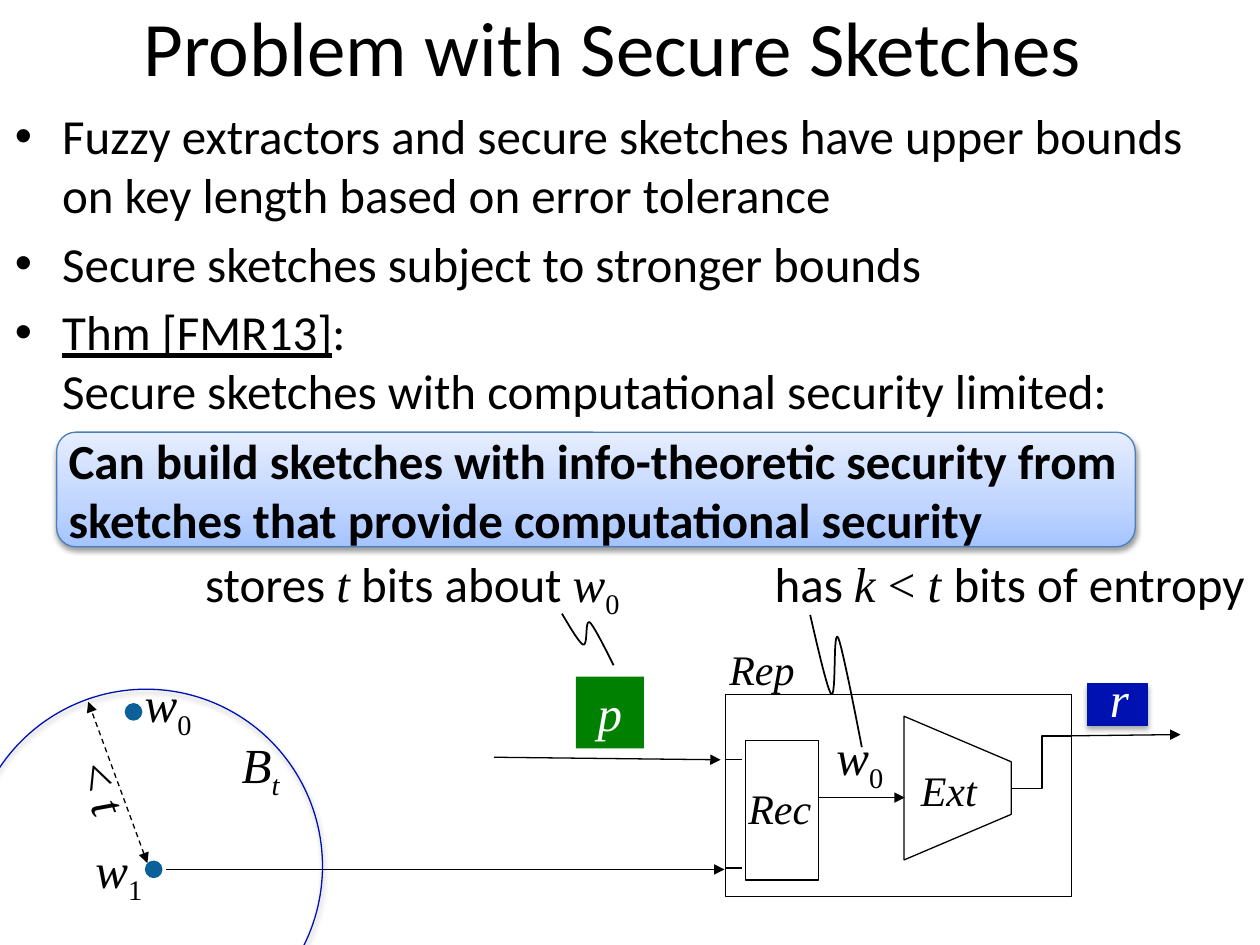
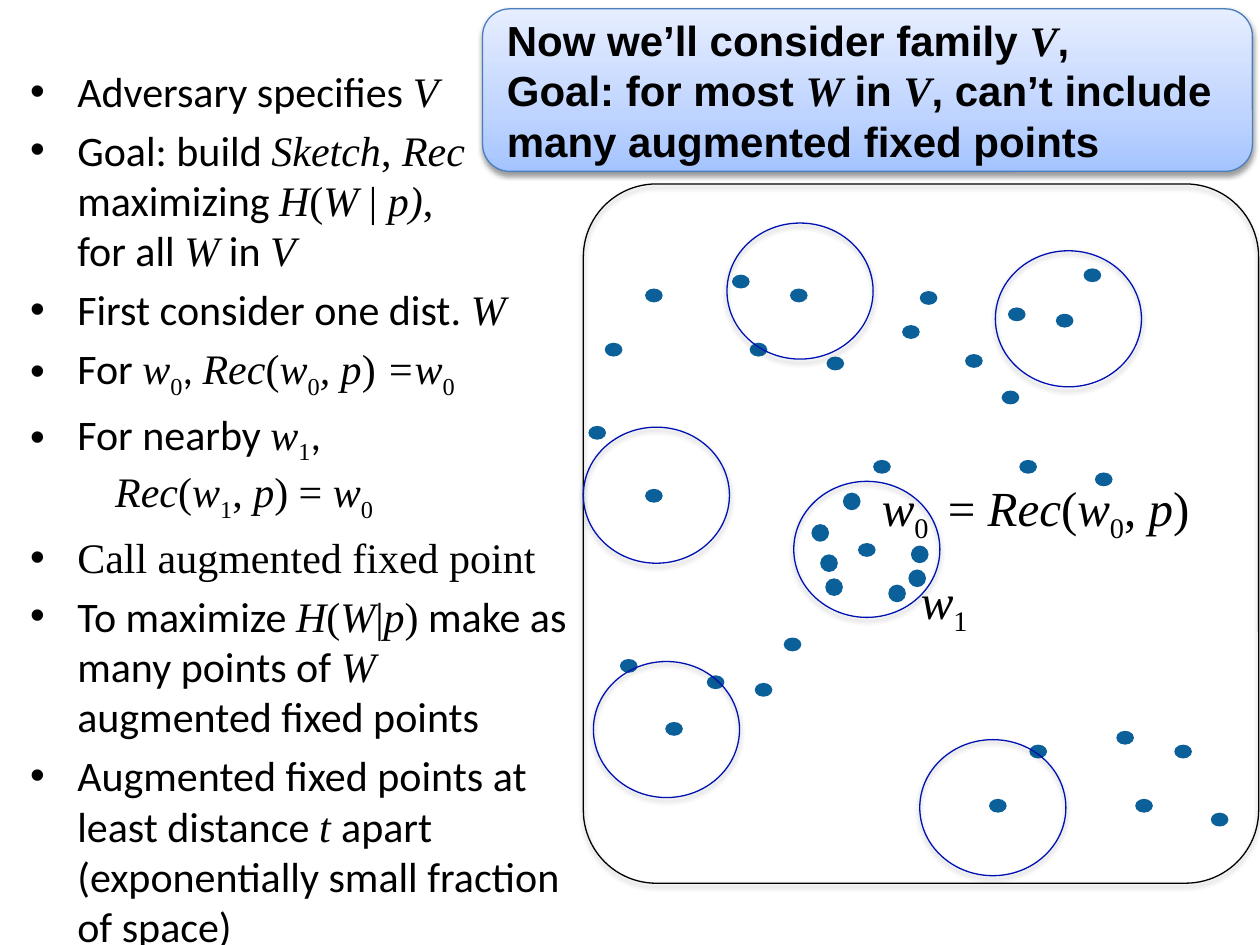
from copy import deepcopy
from dataclasses import dataclass
from typing import NamedTuple

from lxml import etree
from pptx import Presentation
from pptx import util as u
from pptx.dml.color import RGBColor
from pptx.enum import dml, shapes, text
from pptx.oxml.ns import qn

COLUMNS, ROWS = 100, 75
SLIDE_WIDTH, SLIDE_HEIGHT = u.Inches(10), u.Inches(7.5)

BLACK = RGBColor(0x00, 0x00, 0x00)
WHITE = RGBColor(0xFF, 0xFF, 0xFF)
GREEN = RGBColor(0x00, 0x80, 0x00)
BLUE = RGBColor(0x00, 0x11, 0xB2)
POINT_BLUE = RGBColor(0x0B, 0x60, 0x9A)
BANNER_EDGE = RGBColor(0x4B, 0x7E, 0xBC)
BANNER_STOPS = (
    (0, RGBColor(0xA4, 0xC4, 0xFF)),
    (0.35, RGBColor(0xBF, 0xD4, 0xFF)),
    (1, RGBColor(0xE6, 0xEE, 0xFF)),
)

SANS, SERIF, BANNER_SANS = "Calibri", "Times New Roman", "Arial"
TOGGLES = {"$": "math", "*": "italic", "_": "subscript", "~": "underline"}
BULLET_INDENT = 3.75

OVAL = shapes.MSO_SHAPE.OVAL
RECTANGLE = shapes.MSO_SHAPE.RECTANGLE
ROUNDED = shapes.MSO_SHAPE.ROUNDED_RECTANGLE
MIDDLE = text.MSO_ANCHOR.MIDDLE
LEFT, CENTER = text.PP_ALIGN.LEFT, text.PP_ALIGN.CENTER


@dataclass(frozen=True)
class Place:
    left: float
    top: float
    width: float
    height: float
    rotation: float = 0

    def lengths(self) -> tuple:
        return across(self.left), down(self.top), across(self.width), down(self.height)


class Item(NamedTuple):
    text: str
    bullet: bool = True
    extra_indent: float = 0


class Label(NamedTuple):
    place: Place
    text: str
    size: int = 28
    font: str = SERIF
    color: RGBColor = BLACK


class Line(NamedTuple):
    start: tuple
    end: tuple
    tail: bool = False
    head: bool = False
    dashed: bool = False
    kind: int = shapes.MSO_CONNECTOR.STRAIGHT


def across(columns: float) -> int:
    return round(columns * SLIDE_WIDTH / COLUMNS)


def down(rows: float) -> int:
    return round(rows * SLIDE_HEIGHT / ROWS)


def add_child(parent, tag: str, **attributes):
    return etree.SubElement(parent, qn(tag), attributes)


def add_runs(paragraph, marked: str, size: float, font: str, color: RGBColor, bold: bool) -> None:
    active, piece = set(), ""

    def flush() -> None:
        if not piece:
            return
        run = paragraph.add_run()
        run.text = piece
        run.font.size, run.font.bold = u.Pt(size), bold
        run.font.name = SERIF if "math" in active else font
        run.font.color.rgb = color
        run.font.italic = "italic" in active
        run.font.underline = "underline" in active
        if "subscript" in active:
            run.font._element.set("baseline", "-25000")

    for letter in marked:
        if letter in TOGGLES or letter == "\n":
            flush()
            piece = ""
            if letter == "\n":
                paragraph.add_line_break()
            else:
                active ^= {TOGGLES[letter]}
        else:
            piece += letter
    flush()


def write_text(shape, items, *, size=28, font=SANS, color=BLACK, bold=False, align=LEFT,
               anchor=text.MSO_ANCHOR.TOP, wrap=True, margins=(1, 0.5, 1, 0.5)) -> None:
    frame = shape.text_frame
    frame.word_wrap, frame.vertical_anchor = wrap, anchor
    frame.auto_size = text.MSO_AUTO_SIZE.NONE if wrap else text.MSO_AUTO_SIZE.SHAPE_TO_FIT_TEXT
    frame.margin_left, frame.margin_right = across(margins[0]), across(margins[2])
    frame.margin_top, frame.margin_bottom = down(margins[1]), down(margins[3])
    if isinstance(items, str):
        items = [Item(items, bullet=False)]
    for index, item in enumerate(items):
        paragraph = frame.add_paragraph() if index else frame.paragraphs[0]
        paragraph.alignment = align
        properties = paragraph._p.get_or_add_pPr()
        if item.bullet:
            properties.set("marL", str(across(BULLET_INDENT)))
            properties.set("indent", str(-across(BULLET_INDENT)))
            add_child(properties, "a:buFont", typeface=BANNER_SANS)
            add_child(properties, "a:buChar", char="•")
            if index:
                paragraph.space_before = u.Pt(size * 0.2)
        elif item.extra_indent:
            properties.set("marL", str(across(BULLET_INDENT + item.extra_indent)))
        add_runs(paragraph, item.text, size, font, color, bold)


def add_text(slide, place: Place, items, **style):
    box = slide.shapes.add_textbox(*place.lengths())
    box.rotation = place.rotation
    write_text(box, items, **style)
    return box


def add_label(slide, label: Label) -> None:
    add_text(slide, label.place, label.text, size=label.size, font=label.font,
             color=label.color, wrap=False)


def add_figure(slide, kind, place: Place, *, fill=None, line=None, shadow=0, adjustment=None):
    shape = slide.shapes.add_shape(kind, *place.lengths())
    shape.rotation = place.rotation
    if adjustment is not None:
        shape.adjustments[0] = adjustment
    if fill is None:
        shape.fill.background()
    else:
        shape.fill.solid()
        shape.fill.fore_color.rgb = fill
    if line is None:
        shape.line.fill.background()
    else:
        shape.line.color.rgb, shape.line.width = line, u.Pt(0.75)
    shape.shadow.inherit = False
    if shadow:
        effects = shape.element.spPr.find(qn("a:effectLst"))
        outer = add_child(effects, "a:outerShdw", blurRad=str(u.Pt(3.1)), dist=str(u.Pt(1.8)),
                          dir="5400000", rotWithShape="0")
        add_child(add_child(outer, "a:srgbClr", val=str(BLACK)), "a:alpha", val=str(shadow * 1000))
    return shape


def add_banner(slide, place: Place, message: str, **style) -> None:
    banner = add_figure(slide, ROUNDED, place, line=BANNER_EDGE, shadow=38, adjustment=0.167)
    banner.fill.gradient()
    banner.fill.gradient_angle = 90
    stop_list = next(banner.element.spPr.iter(qn("a:gsLst")))
    stop_list.append(deepcopy(stop_list[0]))
    for stop, (position, color) in zip(banner.fill.gradient_stops, BANNER_STOPS):
        stop.position, stop.color.rgb = position, color
    write_text(banner, message, bold=True, anchor=MIDDLE, **style)


def add_line(slide, line: Line) -> None:
    connector = slide.shapes.add_connector(
        line.kind, across(line.start[0]), down(line.start[1]), across(line.end[0]), down(line.end[1]))
    connector.line.color.rgb, connector.line.width = BLACK, u.Pt(0.75)
    if line.dashed:
        connector.line.dash_style = dml.MSO_LINE.DASH
    outline = connector.line._get_or_add_ln()
    for tag, wanted in (("a:headEnd", line.head), ("a:tailEnd", line.tail)):
        if wanted:
            add_child(outline, tag, type="triangle", w="med", len="med")
    add_child(connector.element.spPr, "a:effectLst")


def add_squiggle(slide, place: Place) -> None:
    curves = (
        ((0, 0), (0.17, 0.29), (0.34, 0.57), (0.41, 0.6)),
        ((0.41, 0.6), (0.51, 0.63), (0.44, 0.1), (0.54, 0.17)),
        ((0.54, 0.17), (0.63, 0.24), (1, 1), (1, 1)),
    )
    steps = 12
    points = []
    for curve in curves:
        for step in range(1, steps + 1):
            t = step / steps
            weights = ((1 - t) ** 3, 3 * t * (1 - t) ** 2, 3 * t * t * (1 - t), t ** 3)
            x, y = (sum(w * point[axis] for w, point in zip(weights, curve)) for axis in (0, 1))
            points.append((across(place.left + x * place.width), down(place.top + y * place.height)))
    builder = slide.shapes.build_freeform(across(place.left), down(place.top))
    builder.add_line_segments(points, close=False)
    squiggle = builder.convert_to_shape()
    squiggle.fill.background()
    squiggle.line.color.rgb, squiggle.line.width = BLACK, u.Pt(1)
    squiggle.shadow.inherit = False


def add_points(slide, corners, height: float) -> None:
    for left, top in corners:
        add_figure(slide, OVAL, Place(left, top, 1.4, height), fill=POINT_BLUE)


def build_problem_slide(slide) -> None:
    add_text(slide, Place(-5.4, -1.1, 108.1, 9.4), "Problem with Secure Sketches",
             size=44, align=CENTER, anchor=MIDDLE)
    add_text(slide, Place(0.2, 7.9, 103.9, 25.6), (
        Item("Fuzzy extractors and secure sketches have upper bounds\non key length based on error tolerance"),
        Item("Secure sketches subject to stronger bounds"),
        Item("~Thm [FMR13]~:\nSecure sketches with computational security limited:"),
    ))
    for place in (Place(57.55, 55.15, 27.5, 16), Place(59.15, 58.75, 5.8, 11.1)):
        add_figure(slide, RECTANGLE, place, line=BLACK)
    add_figure(slide, shapes.MSO_SHAPE.TRAPEZOID, Place(70.3, 58.3, 11.4, 8.5, 90),
               line=BLACK, adjustment=0.425)
    add_points(slide, ((11.5, 68.3), (9.9, 55.8)), 1.4)
    key = add_figure(slide, RECTANGLE, Place(45.7, 53.7, 5.4, 5.7), fill=GREEN)
    write_text(key, "*p*", font=SERIF, color=WHITE, align=CENTER, wrap=False)
    add_figure(slide, RECTANGLE, Place(86.3, 54.3, 4.8, 3.3), fill=BLUE, line=BLUE, shadow=35)
    for line in (
        Line((85.1, 58.4), (93.7, 58.3), tail=True),
        Line((85.1, 58.4), (80.3, 62.6), kind=shapes.MSO_CONNECTOR.ELBOW),
        Line((13.2, 69), (57.5, 69), tail=True),
        Line((39.2, 60.1), (57.2, 60.3), tail=True),
        Line((57.5, 68.9), (58.9, 68.9)),
        Line((57.5, 60.3), (58.9, 60.3)),
        Line((64.9, 63.3), (71.8, 63.3), tail=True),
        Line((11.7, 68.5), (7, 55.7), tail=True, head=True, dashed=True),
    ):
        add_line(slide, line)
    add_figure(slide, OVAL, Place(-2.4, 54.7, 28, 28.1), line=BLUE, shadow=35)
    for label in (
        Label(Place(56.9, 50.6, 8.4, 5), "*Rep*", 24),
        Label(Place(72.1, 60.2, 7.6, 5), "*Ext*", 24),
        Label(Place(58.4, 61.6, 8.2, 5), "*Rec*", 24),
        Label(Place(10.5, 53, 6.4, 5.7), "*w*_0_"),
        Label(Place(6.6, 66.1, 6.4, 5.7), "*w*_1_"),
        Label(Place(65.4, 57.2, 6.4, 5.7), "*w*_0_"),
        Label(Place(5.1, 59.8, 6.5, 5.7, 69.7), "< *t*"),
        Label(Place(18.2, 57.8, 5.6, 5.7), "*B_t_*"),
        Label(Place(87.1, 52.6, 4.9, 5.7), "*r*", color=WHITE),
        Label(Place(15.3, 43.4, 35.8, 5.7), "stores $*t*$ bits about $*w*_0_$", font=SANS),
        Label(Place(60.5, 43.4, 39.6, 5.7), "has $*k* < *t *$bits of entropy", font=SANS),
    ):
        add_label(slide, label)
    for place in (Place(44.6, 48.7, 4.1, 4.1), Place(64.3, 48.8, 4.1, 10.5)):
        add_squiggle(slide, place)
    add_banner(slide, Place(4.5, 34.3, 85.6, 9.1),
               "Can build sketches with info-theoretic security from sketches that provide "
               "computational security", margins=(0.5, 0.5, 0.5, 0.5))


def build_family_slide(slide) -> None:
    add_text(slide, Place(1.4, 4.7, 44.9, 67.3), (
        Item("Adversary specifies $*V*$"),
        Item("Goal: build $*Sketch*, *Rec*$ maximizing $*H*(*W* | *p)*,$\nfor all $*W*$ in $*V*$"),
        Item("First consider one dist. $*W*$"),
        Item("For $*w*_0_$, $*Rec*(*w*_0_*, p*) *=w*_0_$"),
        Item("For nearby $*w*_1_$,"),
        Item("$*Rec*(*w*_1_, *p*) = *w*_0_$", bullet=False, extra_indent=3),
        Item("$Call augmented fixed point$"),
        Item("To maximize $*H*(*W*|*p*)$ make as many points of $*W*$ augmented fixed points"),
        Item("Augmented fixed points at least distance $*t *$apart (exponentially small fraction of space)"),
    ), size=24)
    add_points(slide, (
        (68.1, 43.1), (69.3, 36.5), (79.5, 31), (86.9, 37.5), (80.9, 36.5), (46.7, 33.8),
        (48, 27.2), (62.7, 22.9), (52.8, 57.3), (49.2, 52.3), (58.1, 21.8), (65.6, 28.3),
        (56.1, 53.6), (62.2, 50.6), (59.5, 27.2), (51.2, 38.8), (59.9, 54.2), (51.2, 22.9),
        (76.6, 28.1), (73, 23.1), (80, 24.4), (86, 21.3), (71.6, 25.8), (83.8, 24.9),
        (78.5, 63.4), (93.2, 59.1), (88.6, 58), (96.1, 64.5), (90.1, 63.4), (81.7, 59.1),
    ), 1.1)
    add_figure(slide, ROUNDED, Place(46.3, 14.6, 53.6, 55.5), line=BLACK, shadow=35, adjustment=0.108)
    add_label(slide, Label(Place(69, 37.4, 28.7, 5.7), "*w*_0 _ = *Rec*(*w*_0_, *p*)"))
    add_label(slide, Label(Place(72.1, 44.8, 6.4, 5.7), "*w*_1_"))
    add_points(slide, ((70.5, 46.4), (64.4, 41.6), (66.9, 39.1), (65.5, 45.9), (65.1, 44),
                       (72.1, 45.2), (72.3, 43.3)), 1.4)
    for left, top in ((63, 38.2), (73, 58.7), (57.7, 17.7), (46.3, 33.9), (79, 19.9), (47.1, 52.5)):
        add_figure(slide, OVAL, Place(left, top, 11.6, 10.8), line=BLUE, shadow=35)
    add_banner(slide, Place(38.3, 0.7, 61.1, 12.9),
               "Now we’ll consider family $*V*$,\nGoal: for most $*W*$ in $*V*$, can’t include"
               "\nmany augmented fixed points",
               size=24, font=BANNER_SANS, margins=(1.3, 0.5, 0.5, 0.5))


def main() -> None:
    presentation = Presentation()
    presentation.slide_width, presentation.slide_height = SLIDE_WIDTH, SLIDE_HEIGHT
    for build in (build_problem_slide, build_family_slide):
        build(presentation.slides.add_slide(presentation.slide_layouts[6]))
    presentation.save("out.pptx")


if __name__ == "__main__":
    main()
